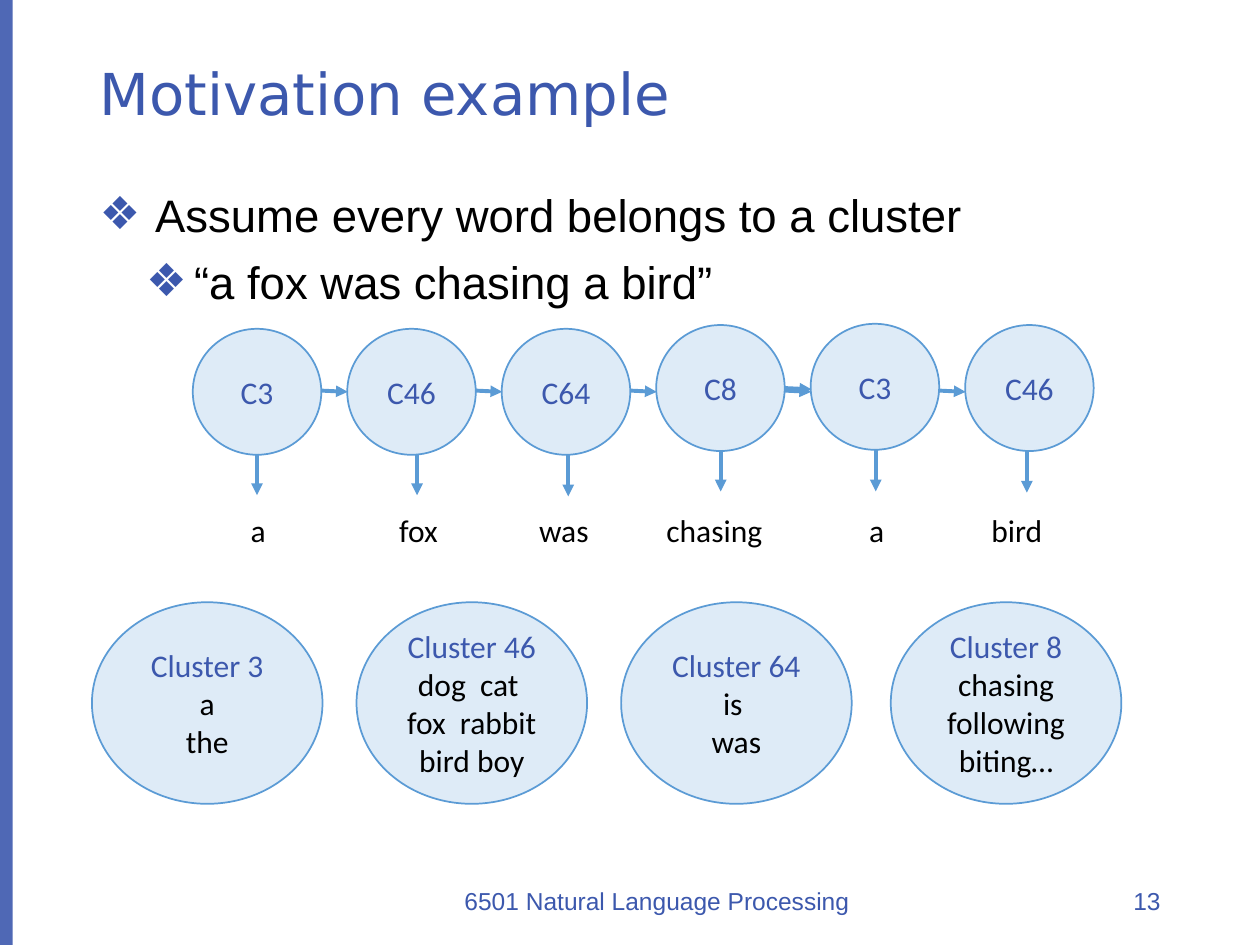
from lxml.etree import SubElement
from pptx import Presentation
from pptx.dml.color import RGBColor
from pptx.enum.shapes import MSO_CONNECTOR, MSO_SHAPE
from pptx.enum.text import MSO_ANCHOR, MSO_AUTO_SIZE, PP_ALIGN
from pptx.oxml.ns import qn
from pptx.util import Inches, Pt

BLUE, SKY, PALE, BLACK = "3C58AD", "5B9BD5", "DEEBF7", "000000"


def tint(code):
    return RGBColor.from_string(code)


def put(item, form):
    for name, value in form.items():
        setattr(item, name, value)


def tag(node, name, **form):
    return SubElement(node, qn(name), form)


class Deck:
    head = {"name": "DejaVu Sans", "size": Pt(33)}
    list = {"name": "Arial", "size": Pt(26)}
    foot = {"name": "Arial", "size": Pt(14)}
    note = {"name": "Calibri", "size": Pt(18)}

    def __init__(self):
        self.file = Presentation()
        put(self.file, {"slide_width": Inches(10), "slide_height": Inches(7.5)})
        self.slide = self.file.slides.add_slide(self.file.slide_layouts[1])
        self.shapes = self.slide.shapes

    def place(self, item, *box):
        names = ("left", "top", "width", "height")
        put(item, dict(zip(names, map(Inches, box))))

    def label(self, para, text, font, color, **form):
        run = para.add_run()
        run.text = text
        put(run.font, font)
        run.font.color.rgb = tint(color)
        put(para, form)

    def bar(self, *box):
        shape = self.shapes.add_shape(MSO_SHAPE.RECTANGLE, *map(Inches, box))
        shape.shadow.inherit = False
        shape.fill.solid()
        shape.fill.fore_color.rgb = tint(BLUE)
        shape.line.fill.background()
        fill = shape._element.spPr.find(qn("a:solidFill"))
        tag(fill[0], "a:alpha", val="90000")

    def title(self, text, *box):
        item = self.shapes.title
        self.place(item, *box)
        frame = item.text_frame
        put(frame, {"vertical_anchor": MSO_ANCHOR.MIDDLE,
                    "auto_size": MSO_AUTO_SIZE.NONE})
        self.label(frame.paragraphs[0], text, self.head, BLUE,
                   alignment=PP_ALIGN.LEFT, line_spacing=0.9)

    def body(self, rows, *box):
        item = self.slide.placeholders[1]
        self.place(item, *box)
        frame = item.text_frame
        frame.auto_size = MSO_AUTO_SIZE.NONE
        for num, (text, left, hang, gap) in enumerate(rows):
            para = frame.add_paragraph() if num else frame.paragraphs[0]
            self.label(para, text, self.list, BLACK, level=num,
                       line_spacing=1.1, space_before=Pt(gap))
            prop = para._p.get_or_add_pPr()
            prop.set("marL", str(Inches(left)))
            prop.set("indent", str(-Inches(hang)))
            tag(tag(prop, "a:buClr"), "a:srgbClr", val=BLUE)
            tag(prop, "a:buFont", typeface="Arial")
            tag(prop, "a:buChar", char="❖")

    def text(self, text, font, color, align, *box):
        frame = self.shapes.add_textbox(*map(Inches, box)).text_frame
        put(frame, {"word_wrap": True, "vertical_anchor": MSO_ANCHOR.MIDDLE})
        para = frame.paragraphs[0]
        self.label(para, text, font, color, alignment=align)
        return para

    def words(self, words, stops, *box):
        para = self.text("\t".join(words), self.note, BLACK,
                         PP_ALIGN.LEFT, *box)
        tabs = tag(para._p.get_or_add_pPr(), "a:tabLst")
        for stop in stops:
            tag(tabs, "a:tab", pos=str(Inches(stop)), algn="l")

    def oval(self, lines, *box):
        shape = self.shapes.add_shape(MSO_SHAPE.OVAL, *map(Inches, box))
        shape.shadow.inherit = False
        shape.fill.solid()
        shape.fill.fore_color.rgb = tint(PALE)
        shape.line.color.rgb = tint(SKY)
        shape.line.width = Pt(1)
        frame = shape.text_frame
        frame.vertical_anchor = MSO_ANCHOR.MIDDLE
        for num, line in enumerate(lines):
            para = frame.add_paragraph() if num else frame.paragraphs[0]
            self.label(para, line, self.note, BLACK if num else BLUE,
                       alignment=PP_ALIGN.CENTER)

    def arrow(self, *ends):
        link = self.shapes.add_connector(MSO_CONNECTOR.STRAIGHT,
                                         *map(Inches, ends))
        link.line.color.rgb = tint(SKY)
        link.line.width = Pt(2.25)
        prop = link._element.spPr
        tag(prop.find(qn("a:ln")), "a:tailEnd", type="triangle")
        tag(prop, "a:effectLst")


def main():
    deck = Deck()
    deck.bar(0, 0, 0.1, 7.5)
    deck.title("Motivation example", 0.69, 0.4, 8.62, 0.74)
    deck.body([("Assume every word belongs to a cluster", 0.44, 0.44, 7.5),
               ("“a fox was chasing a bird”", 0.75, 0.38, 3.8)],
              0.69, 1.39, 8.62, 5.37)
    deck.text("13", deck.foot, BLUE, PP_ALIGN.RIGHT, 7.85, 6.95, 1.46, 0.4)
    deck.text("6501 Natural Language Processing", deck.foot, BLUE,
              PP_ALIGN.CENTER, 3.31, 6.95, 3.81, 0.4)

    groups = [(0.73, ["Cluster 3", "a", "the"]),
              (2.83, ["Cluster 46", "dog  cat  fox  rabbit", "bird boy"]),
              (4.93, ["Cluster 64", "is ", "was"]),
              (7.07, ["Cluster 8", "chasing", "following", "biting…"])]
    for left, lines in groups:
        deck.oval(lines, left, 4.78, 1.83, 1.6)

    first, last = 1.53, 7.66
    chain = [("C3", 2.61), ("C46", 2.61), ("C64", 2.61),
             ("C8", 2.58), ("C3", 2.57), ("C46", 2.58)]
    step = (last - first) / (len(chain) - 1)
    for num, (name, top) in enumerate(chain):
        deck.oval([name], first + num * step, top, 1.02, 1)

    for num in range(len(chain) - 1):
        left = first + 1.02 + num * step
        deck.arrow(left, 3.1, left + 0.21, 3.11)
    deck.arrow(6.23, 3.08, 6.44, 3.09)

    drops = [(2.04, 3.6), (3.31, 3.6), (4.51, 3.61),
             (5.72, 3.57), (6.95, 3.57), (8.15, 3.58)]
    for left, top in drops:
        deck.arrow(left, top, left, top + 0.33)
    deck.words(["a", "fox", "was", "chasing", "a", "bird"],
               [1.18, 2.29, 3.3, 4.91, 5.88], 1.89, 4.01, 6.61, 0.4)
    deck.file.save("out.pptx")


if __name__ == "__main__":
    main()
